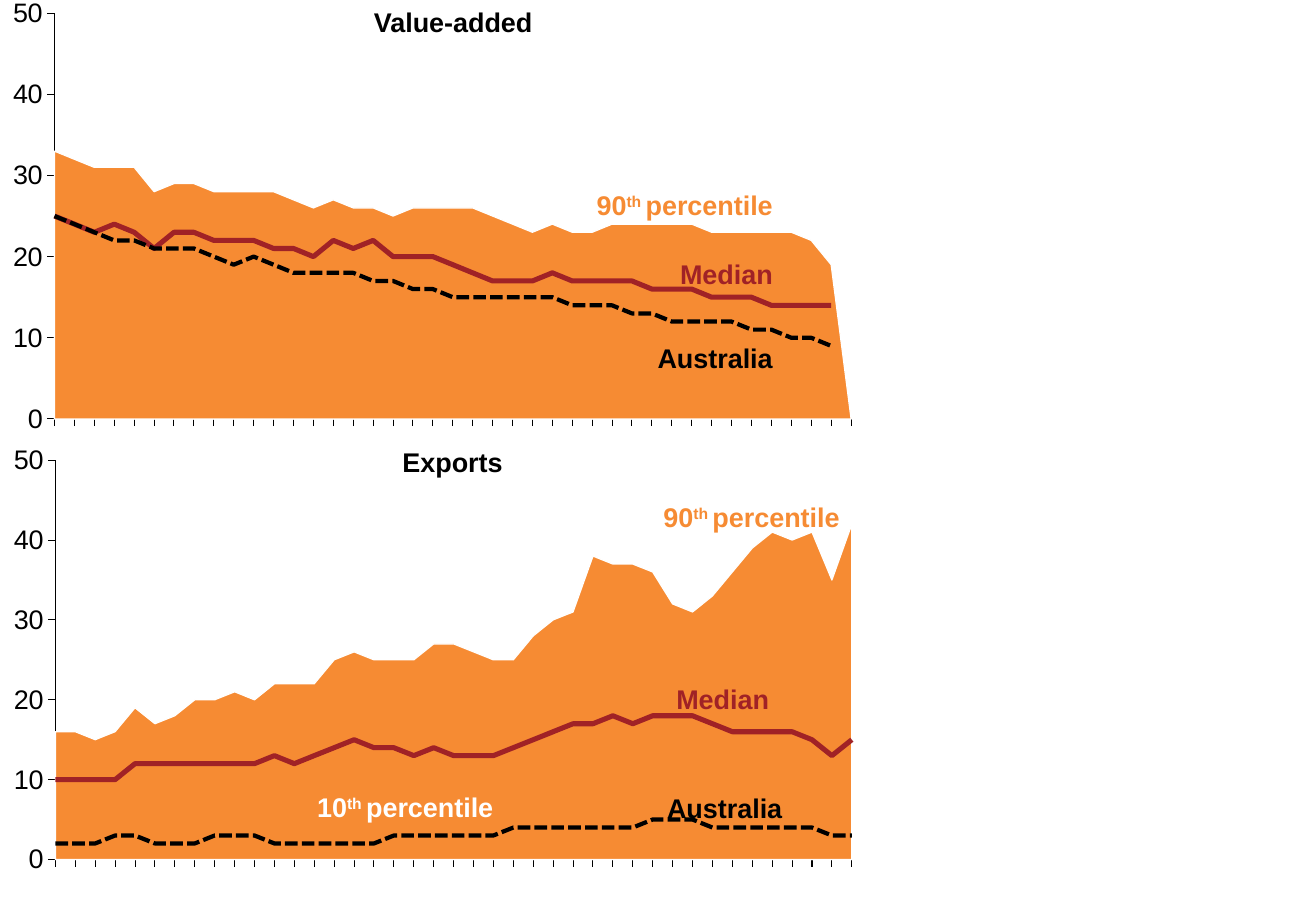
from lxml import etree
from pptx import Presentation
from pptx.chart.data import CategoryChartData
from pptx.dml.color import RGBColor
from pptx.enum import chart as kinds, dml, text
from pptx.oxml import ns
from pptx.util import Inches, Pt

COLOURS = {"band": "F68B33", "low": "FFFFFF", "median": "A02226", "ink": "000000"}
FONT = "Arial"
SERIES_NAMES = ("90th percentile", "10th percentile", "Median", "Australia")
AREA_COLOURS = ("band", "low")
LINE_STYLES = (
    ("median", {"width": Pt(3)}),
    ("ink", {"width": Pt(2.5), "dash_style": dml.MSO_LINE.SQUARE_DOT}),
)

# Chart values, in the order of SERIES_NAMES
VALUE_ADDED = (
    (33, 32, 31, 31, 31, 28, 29, 29, 28, 28, 28, 28, 27, 26, 27, 26, 26, 25, 26, 26, 26,
     26, 25, 24, 23, 24, 23, 23, 24, 24, 24, 24, 24, 23, 23, 23, 23, 23, 22, 19, None),
    (21, 20, 20, 20, 20, 19, 19, 19, 18, 18, 18, 17, 16, 17, 17, 17, 17, 16, 16, 16, 15,
     14, 14, 14, 14, 13, 12, 13, 13, 12, 11, 11, 11, 10, 10, 10, 10, 10, 9, 9, None),
    (25, 24, 23, 24, 23, 21, 23, 23, 22, 22, 22, 21, 21, 20, 22, 21, 22, 20, 20, 20, 19,
     18, 17, 17, 17, 18, 17, 17, 17, 17, 16, 16, 16, 15, 15, 15, 14, 14, 14, 14, None),
    (25, 24, 23, 22, 22, 21, 21, 21, 20, 19, 20, 19, 18, 18, 18, 18, 17, 17, 16, 16, 15,
     15, 15, 15, 15, 15, 14, 14, 14, 13, 13, 12, 12, 12, 12, 11, 11, 10, 10, 9, None),
)
EXPORTS = (
    (16, 16, 15, 16, 19, 17, 18, 20, 20, 21, 20, 22, 22, 22, 25, 26, 25, 25, 25, 27, 27,
     26, 25, 25, 28, 30, 31, 38, 37, 37, 36, 32, 31, 33, 36, 39, 41, 40, 41, 35, 42),
    (2, 1, 2, 2, 2, 2, 2, 2, 3, 3, 3, 3, 4, 4, 4, 4, 4, 4, 4, 5, 5,
     4, 4, 4, 4, 5, 5, 5, 5, 5, 5, 5, 5, 4, 4, 4, 4, 5, 6, 5, 5),
    (10, 10, 10, 10, 12, 12, 12, 12, 12, 12, 12, 13, 12, 13, 14, 15, 14, 14, 13, 14, 13,
     13, 13, 14, 15, 16, 17, 17, 18, 17, 18, 18, 18, 17, 16, 16, 16, 16, 15, 13, 15),
    (2, 2, 2, 3, 3, 2, 2, 2, 3, 3, 3, 2, 2, 2, 2, 2, 2, 3, 3, 3, 3,
     3, 3, 4, 4, 4, 4, 4, 4, 4, 5, 5, 5, 4, 4, 4, 4, 4, 4, 3, 3),
)

# Charts: left, top, width, height; inner plot as fractions; categories; values
CHARTS = (
    ((0, -0.01, 7.74, 3.75), (0.058, 0.024, 0.847, 0.898), range(1, 42), VALUE_ADDED),
    ((0, 3.67, 7.86, 3.83), (0.058, 0.027, 0.834, 0.862), range(1970, 2011), EXPORTS),
)

# Labels: text, colour, alignment, left, top, width
CENTER, RIGHT = text.PP_ALIGN.CENTER, text.PP_ALIGN.RIGHT
LABELS = (
    ("Value-added", "ink", CENTER, 3.07, 0.05, 1.32),
    ("Median", "median", RIGHT, 5.59, 2.12, 0.77),
    ("90th percentile", "band", RIGHT, 4.87, 1.55, 1.49),
    ("Australia ", "ink", RIGHT, 5.48, 6.52, 1.02),
    ("Exports", "ink", CENTER, 3.31, 3.67, 0.83),
    ("Median", "median", RIGHT, 5.56, 5.62, 0.77),
    ("90th percentile", "band", RIGHT, 5.42, 4.12, 1.49),
    ("Australia", "ink", RIGHT, 5.4, 2.81, 0.96),
    ("10th percentile", "low", RIGHT, 2.57, 6.51, 1.49),
)


def set_values(target, values):
    for name, value in values.items():
        setattr(target, name, value)


def rgb(name):
    return RGBColor.from_string(COLOURS[name])


def style_font(font, size, colour="ink", bold=False):
    set_values(font, {"name": FONT, "size": Pt(size), "bold": bold})
    font.color.rgb = rgb(colour)


def style_line(line, colour, values):
    line.color.rgb = rgb(colour)
    set_values(line, values)


def add_element(parent, name, value=None):
    element = etree.SubElement(parent, ns.qn(f"c:{name}"))
    if value is not None:
        element.set("val", str(value))
    return element


def place_plot(plot_area, fractions):
    for old_layout in plot_area.findall(ns.qn("c:layout")):
        plot_area.remove(old_layout)
    layout = add_element(plot_area, "layout")
    plot_area.insert(0, layout)
    manual = add_element(layout, "manualLayout")
    add_element(manual, "layoutTarget", "inner")
    for side in "xy":
        add_element(manual, f"{side}Mode", "edge")
    for side, fraction in zip("xywh", fractions):
        add_element(manual, side, fraction)


def move_to_lines(plot_area):
    """Turn the series after the areas into lines on the same axes."""
    areas = plot_area.find(ns.qn("c:areaChart"))
    lines = add_element(plot_area, "lineChart")
    areas.addnext(lines)
    add_element(lines, "grouping", "standard")
    add_element(lines, "varyColors", 0)
    for series in areas.findall(ns.qn("c:ser"))[len(AREA_COLOURS):]:
        lines.append(series)
    add_element(lines, "marker", 1)
    for axis_id in areas.findall(ns.qn("c:axId")):
        add_element(lines, "axId", axis_id.get("val"))


def style_axes(chart):
    for axis in (chart.category_axis, chart.value_axis):
        set_values(axis, {
            "has_major_gridlines": False,
            "major_tick_mark": kinds.XL_TICK_MARK.OUTSIDE,
            "minor_tick_mark": kinds.XL_TICK_MARK.NONE,
        })
        style_line(axis.format.line, "ink", {"width": Pt(0.6)})
        style_font(axis.tick_labels.font, 16)
    chart.category_axis.tick_label_position = kinds.XL_TICK_LABEL_POSITION.NONE
    set_values(chart.value_axis, {"minimum_scale": 0, "maximum_scale": 50, "major_unit": 10})
    set_values(chart.value_axis.tick_labels,
               {"number_format": "General", "number_format_is_linked": False})


def add_percentile_chart(page, place, fractions, categories, values):
    data = CategoryChartData()
    data.categories = [str(category) for category in categories]
    for name, numbers in zip(SERIES_NAMES, values):
        data.add_series(name, numbers)
    frame = page.shapes.add_chart(kinds.XL_CHART_TYPE.AREA, *map(Inches, place), data)
    chart = frame.chart
    set_values(chart, {"has_legend": False, "has_title": False})
    style_font(chart.font, 18)
    style_axes(chart)

    # Plot area: edge-to-edge categories, gaps for missing values
    space = chart.element
    plot_area = space.find(".//" + ns.qn("c:plotArea"))
    place_plot(plot_area, fractions)
    move_to_lines(plot_area)
    space.find(".//" + ns.qn("c:crossBetween")).set("val", "midCat")
    for blanks in space.iter(ns.qn("c:dispBlanksAs")):
        blanks.set("val", "gap")

    # Series
    areas, lines = chart.plots
    areas.vary_by_categories = False
    for series, colour in zip(areas.series, AREA_COLOURS):
        series.format.fill.solid()
        series.format.fill.fore_color.rgb = rgb(colour)
        style_line(series.format.line, "low", {"width": Pt(0.75)})
    for series, (colour, style) in zip(lines.series, LINE_STYLES):
        style_line(series.format.line, colour, style)
        series.marker.style = kinds.XL_MARKER_STYLE.NONE
        series.smooth = False


def add_label(page, wording, colour, alignment, left, top, width):
    box = page.shapes.add_textbox(*map(Inches, (left, top, width, 0.27)))
    frame = box.text_frame
    set_values(frame, {
        "margin_left": 0, "margin_right": 0, "margin_top": 0, "margin_bottom": 0,
        "word_wrap": False, "auto_size": text.MSO_AUTO_SIZE.SHAPE_TO_FIT_TEXT,
    })
    para = frame.paragraphs[0]
    para.alignment = alignment
    ordinal = "th "
    for part in filter(None, wording.partition(ordinal)):
        span = para.add_run()
        span.text = part
        style_font(span.font, 16, colour, bold=True)
        if part == ordinal:
            span._r.get_or_add_rPr().set("baseline", "30000")


def main():
    deck = Presentation()
    set_values(deck, {"slide_width": Inches(10.83), "slide_height": Inches(7.5)})
    page = deck.slides.add_slide(deck.slide_layouts[6])
    for chart in CHARTS:
        add_percentile_chart(page, *chart)
    for label in LABELS:
        add_label(page, *label)
    deck.save("out.pptx")


if __name__ == "__main__":
    main()
